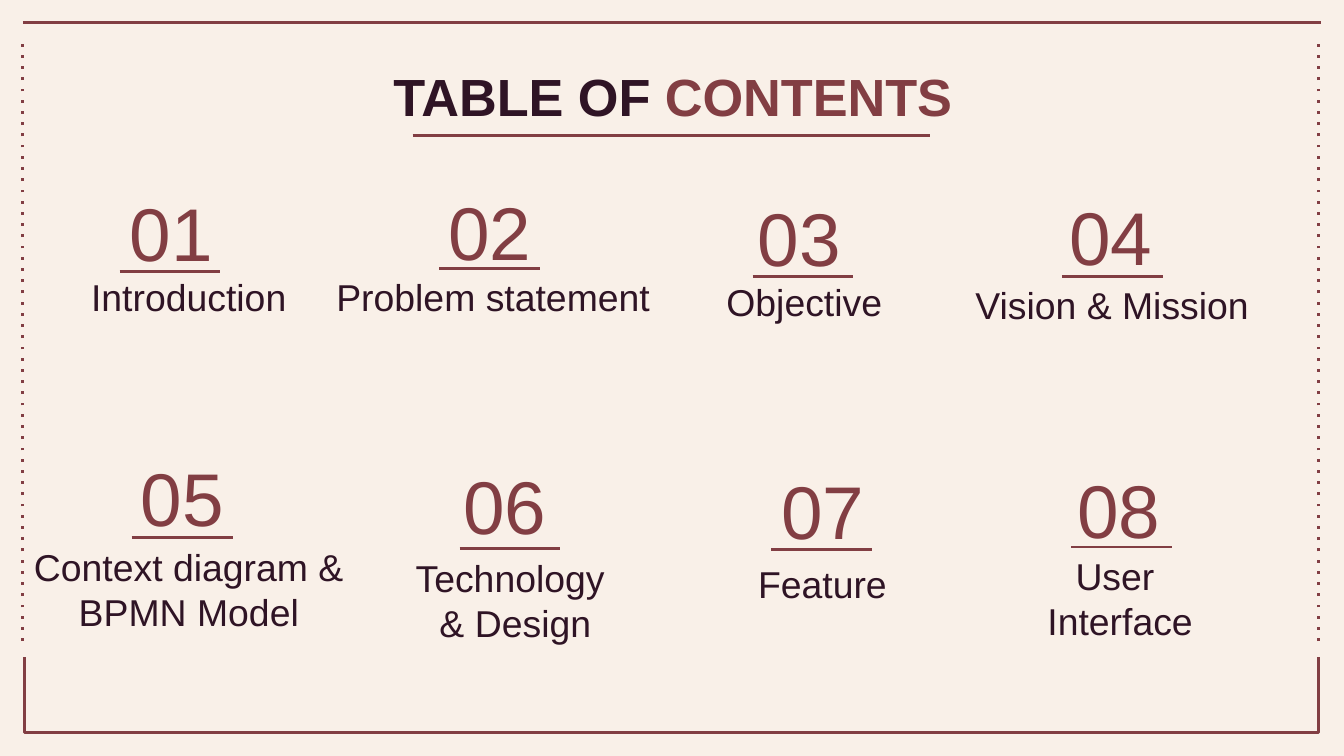
from lxml import etree
from pptx import Presentation
from pptx.dml.color import RGBColor
from pptx.enum import shapes, text
from pptx.oxml.ns import qn
from pptx.util import Inches, Pt

SLIDE_SIZE = (10, 5.625)
COLORS = {"paper": "F9F0E8", "wine": "823E43", "ink": "2F1425"}
TITLE = [("TABLE OF ", "ink"), ("CONTENTS", "wine")]
TITLE_BOX = (0.79, 0.38, 8.43, 0.63)

# number, label lines, number box, label box, rule (left, y), top and bottom inset
ITEMS = [
    ("01", ["Introduction"], (0.4, 1.29, 1.75, 0.72), (0.05, 1.94, 2.71, 0.42), (0.89, 2.02), 0.1),
    ("02", ["Problem statement"], (2.77, 1.28, 1.75, 0.72), (2.24, 1.94, 2.86, 0.42), (3.27, 2), 0.1),
    ("03", ["Objective"], (5.07, 1.33, 1.75, 0.72), (4.63, 1.98, 2.71, 0.42), (5.6, 2.06), 0.1),
    ("04", ["Vision & Mission"], (7.39, 1.32, 1.75, 0.72), (6.92, 2, 2.71, 0.42), (7.9, 2.06), 0.1),
    ("05", ["Context diagram & BPMN Model"], (0.48, 3.26, 1.75, 0.72), (0.05, 3.95, 2.71, 0.42),
     (0.98, 4), 0.1),
    ("06", ["Technology ", "& Design"], (2.88, 3.32, 1.75, 0.72), (2.48, 4.03, 2.71, 0.42),
     (3.42, 4.08), 0.1),
    ("07", ["Feature"], (5.66, 3.41, 0.92, 0.77), (3.62, 4.13, 5, 0.44), (5.74, 4.09), 0.05),
    ("08", ["User ", "Interface"], (7.62, 3.4, 1.41, 0.77), (5.6, 4.07, 5.47, 0.77), (7.97, 4.07), 0.05),
]
RULE_WIDTH = 0.75
TITLE_RULE = (3.07, 1.01, 6.92, 1.01)
TOP_BORDER = (0.17, 0.17, 9.83, 0.17)
SIDE_BORDERS = [(x, 4.77, x, 0.3) for x in (0.17, 9.81)]
BOTTOM_BORDER = [(0.18, 4.89), (0.18, 5.45), (9.81, 5.45), (9.81, 4.89)]


def color(name):
    return RGBColor.from_string(COLORS[name])


def style_line(line):
    line.color.rgb = color("wine")
    line.width = Pt(1.5)


def add_rule(page, ends, dotted=False):
    rule = page.shapes.add_connector(shapes.MSO_CONNECTOR.STRAIGHT, *map(Inches, ends))
    style_line(rule.line)
    properties = rule._element.spPr
    if dotted:
        etree.SubElement(properties.find(qn("a:ln")), qn("a:prstDash"), val="dot")
    etree.SubElement(properties, qn("a:effectLst"))


def add_bottom_border(page):
    start, *others = [tuple(map(Inches, point)) for point in BOTTOM_BORDER]
    builder = page.shapes.build_freeform(*start)
    builder.add_line_segments(others, close=False)
    border = builder.convert_to_shape()
    border.fill.background()
    border.shadow.inherit = False
    style_line(border.line)


def write(box, place, paragraphs, size, inset=0.1, bold=False):
    """Place a box and fill it with paragraphs, each a list of (text, colour name)."""
    for name, value in zip(("left", "top", "width", "height"), place):
        setattr(box, name, Inches(value))
    frame = box.text_frame
    settings = {
        "word_wrap": True,
        "auto_size": text.MSO_AUTO_SIZE.NONE,
        "vertical_anchor": text.MSO_ANCHOR.TOP,
        "margin_left": Inches(0.1), "margin_right": Inches(0.1),
        "margin_top": Inches(inset), "margin_bottom": Inches(inset),
    }
    for name, value in settings.items():
        setattr(frame, name, value)
    for index, spans in enumerate(paragraphs):
        para = frame.add_paragraph() if index else frame.paragraphs[0]
        para.alignment = text.PP_ALIGN.CENTER
        for words, shade in spans:
            span = para.add_run()
            span.text = words
            for name, value in {"name": "Arial", "size": Pt(size), "bold": bold}.items():
                setattr(span.font, name, value)
            span.font.color.rgb = color(shade)


def add_text(page, place, *content):
    write(page.shapes.add_textbox(*map(Inches, place)), place, *content)


def main():
    deck = Presentation()
    deck.slide_width, deck.slide_height = map(Inches, SLIDE_SIZE)
    page = deck.slides.add_slide(deck.slide_layouts[5])
    page.background.fill.solid()
    page.background.fill.fore_color.rgb = color("paper")

    add_bottom_border(page)
    add_rule(page, TOP_BORDER)
    for ends in SIDE_BORDERS:
        add_rule(page, ends, dotted=True)

    write(page.shapes.title, TITLE_BOX, [TITLE], 28, bold=True)
    add_rule(page, TITLE_RULE)
    for number, lines, number_box, label_box, (left, y), inset in ITEMS:
        add_text(page, number_box, [[(number, "wine")]], 40, inset)
        add_text(page, label_box, [[(line, "ink")] for line in lines], 20, inset)
        add_rule(page, (left, y, left + RULE_WIDTH, y))
    deck.save("out.pptx")


if __name__ == "__main__":
    main()
